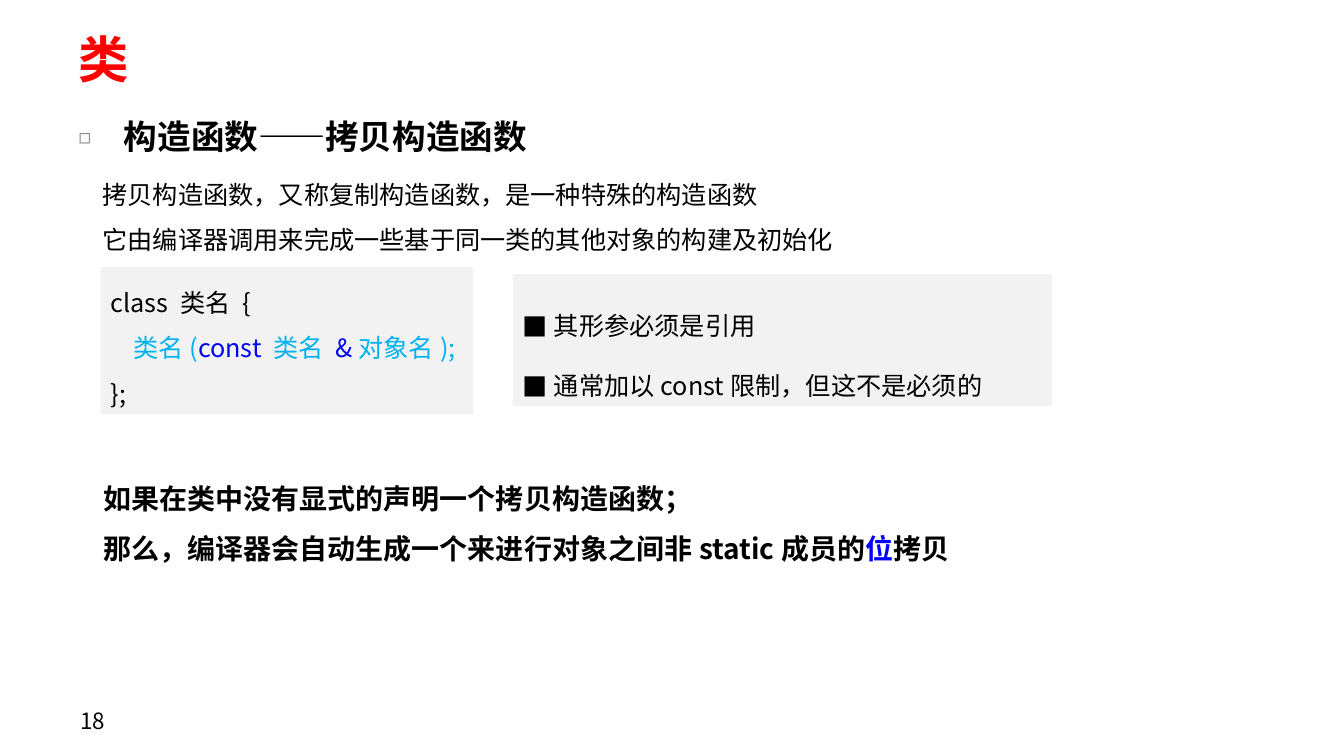
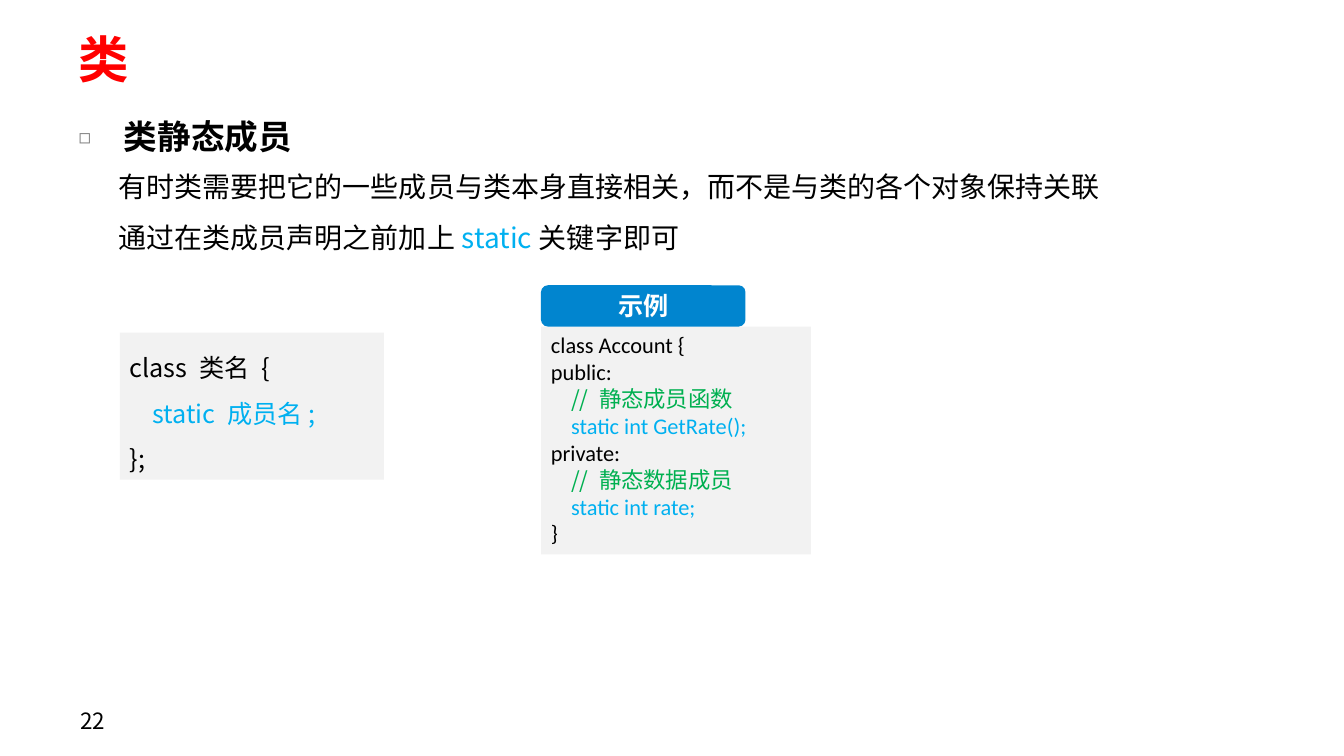
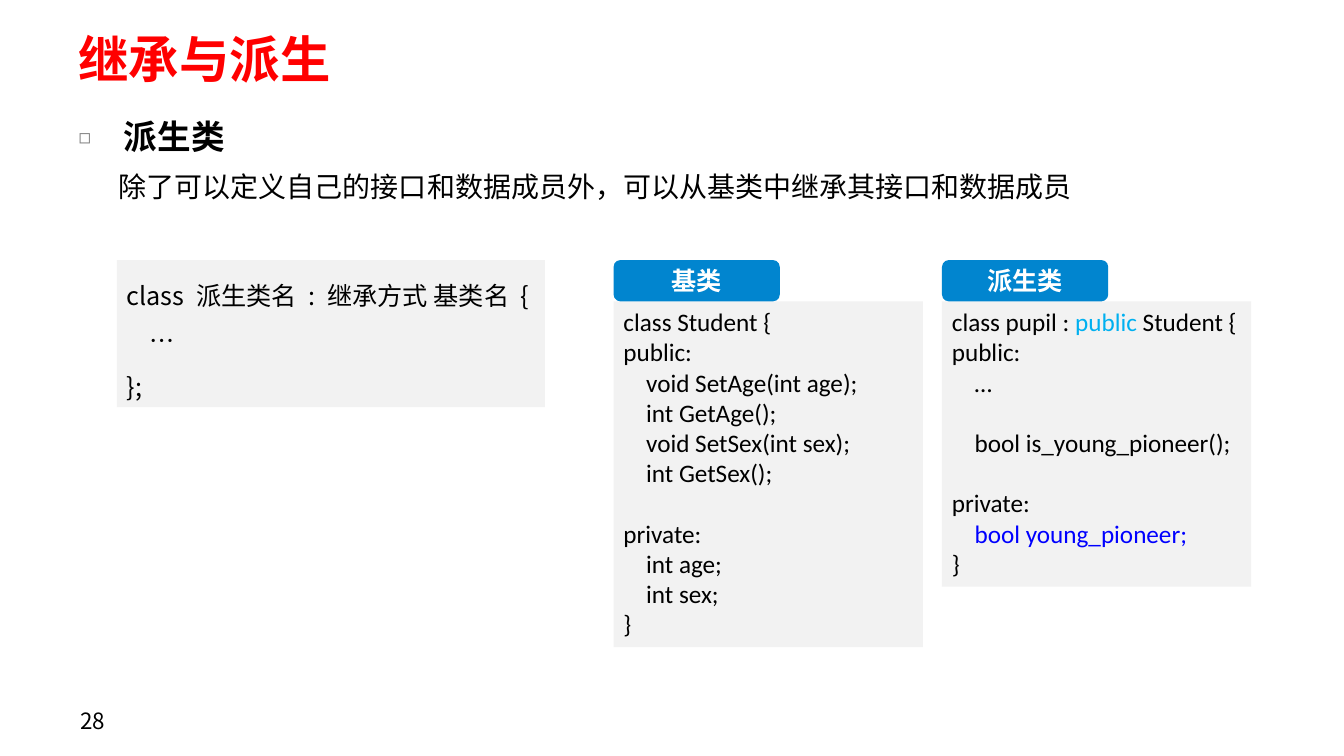
from dataclasses import dataclass
from typing import Optional, Union

from lxml import etree
from pptx import Presentation
from pptx import slide as slides
from pptx import util as u
from pptx.dml.color import RGBColor
from pptx.enum import shapes, text
from pptx.oxml import ns
from pptx.text import text as text_parts

PX = 9144
SANS = "Noto Sans CJK SC"
CODE = "Calibri"

BLACK = RGBColor(0x00, 0x00, 0x00)
WHITE = RGBColor(0xFF, 0xFF, 0xFF)
RED = RGBColor(0xFF, 0x00, 0x00)
GRAY = RGBColor(0x80, 0x80, 0x80)
PANEL = RGBColor(0xF2, 0xF2, 0xF2)
TAB = RGBColor(0x01, 0x85, 0xCF)
CYAN = RGBColor(0x00, 0xB0, 0xF0)
BLUE = RGBColor(0x00, 0x00, 0xFF)
GREEN = RGBColor(0x00, 0xB0, 0x50)

TOP = text.MSO_ANCHOR.TOP
MIDDLE = text.MSO_ANCHOR.MIDDLE
TAB_HEIGHT = 41


@dataclass(frozen=True)
class Box:
    left: int
    top: int
    width: int
    height: int


@dataclass(frozen=True)
class Span:
    text: str
    color: RGBColor
    font: Optional[str] = None


@dataclass(frozen=True)
class Bullet:
    char: str
    indent: int
    color: Optional[RGBColor] = None
    percent: int = 100


@dataclass(frozen=True)
class Card:
    box: Box
    label: str
    tab_width: int
    size: int
    lines: list


Line = Union[str, tuple]

HEADING_BULLET = Bullet("◻", 45, GRAY, 60)
SQUARE_BULLET = Bullet("■", 31)


def px(length: int) -> u.Emu:
    return u.Emu(length * PX)


def add_bullet(paragraph: text_parts._Paragraph, bullet: Bullet) -> None:
    properties = paragraph._p.get_or_add_pPr()
    properties.set("marL", str(px(bullet.indent)))
    properties.set("indent", str(px(-bullet.indent)))
    if bullet.color is not None:
        color = etree.SubElement(properties, ns.qn("a:buClr"))
        etree.SubElement(color, ns.qn("a:srgbClr"), val=str(bullet.color))
    etree.SubElement(properties, ns.qn("a:buSzPct"), val=str(bullet.percent * 1000))
    etree.SubElement(properties, ns.qn("a:buFont"), typeface=SANS)
    etree.SubElement(properties, ns.qn("a:buChar"), char=bullet.char)


def add_run(paragraph: text_parts._Paragraph, span: Span, size: int, font: str, bold: bool) -> None:
    run = paragraph.add_run()
    run.text = span.text
    run.font.size = u.Pt(size)
    run.font.bold = bold
    run.font.color.rgb = span.color
    run.font.name = span.font or font
    east_asian = etree.Element(ns.qn("a:ea"), typeface=SANS)
    run.font._element.find(ns.qn("a:latin")).addnext(east_asian)


def add_text(
    slide: slides.Slide,
    box: Box,
    lines: list,
    *,
    size: int,
    font: str = SANS,
    color: RGBColor = BLACK,
    bold: bool = False,
    spacing: float = 1.0,
    fill: Optional[RGBColor] = None,
    outline: shapes.MSO_SHAPE = shapes.MSO_SHAPE.RECTANGLE,
    bullet: Optional[Bullet] = None,
    anchor: text.MSO_ANCHOR = TOP,
    align: text.PP_ALIGN = text.PP_ALIGN.LEFT,
    inset: tuple = (10, 5),
    grow: bool = True,
) -> None:
    place = [px(length) for length in (box.left, box.top, box.width, box.height)]
    if fill is None:
        shape = slide.shapes.add_textbox(*place)
    else:
        shape = slide.shapes.add_shape(outline, *place)
        shape.shadow.inherit = False
        shape.fill.solid()
        shape.fill.fore_color.rgb = fill
        shape.line.fill.background()
    frame = shape.text_frame
    frame.word_wrap = True
    frame.auto_size = text.MSO_AUTO_SIZE.SHAPE_TO_FIT_TEXT if grow else text.MSO_AUTO_SIZE.NONE
    frame.vertical_anchor = anchor
    frame.margin_left = frame.margin_right = px(inset[0])
    frame.margin_top = frame.margin_bottom = px(inset[1])
    for index, line in enumerate(lines):
        paragraph = frame.add_paragraph() if index else frame.paragraphs[0]
        if bullet is not None:
            add_bullet(paragraph, bullet)
        paragraph.alignment = align
        paragraph.line_spacing = spacing
        for part in line if isinstance(line, tuple) else (line,):
            span = part if isinstance(part, Span) else Span(part, color)
            if span.text.startswith("\n"):
                paragraph.add_line_break()
                span = Span(span.text[1:], span.color, span.font)
            add_run(paragraph, span, size, font, bold)


def add_base(presentation: Presentation, title: str, heading: str, number: int) -> slides.Slide:
    slide = presentation.slides.add_slide(presentation.slide_layouts[6])
    inset = (13, 7)
    add_text(slide, Box(65, 28, 1213, 59), [title], size=36, color=RED, bold=True,
             anchor=MIDDLE, inset=inset, grow=False)
    add_text(slide, Box(65, 92, 1213, 71), [heading], size=24, bold=True, spacing=1.4,
             bullet=HEADING_BULLET, inset=inset, grow=False)
    add_text(slide, Box(67, 695, 311, 40), [str(number)], size=16,
             anchor=MIDDLE, inset=inset, grow=False)
    return slide


def add_syntax(slide: slides.Slide, box: Box, lines: list) -> None:
    add_text(slide, box, lines, size=18, spacing=1.5, fill=PANEL)


def add_card(slide: slides.Slide, card: Card) -> None:
    box = card.box
    add_text(slide, box, card.lines, size=card.size, font=CODE, fill=PANEL)
    tab = Box(box.left, box.top - TAB_HEIGHT, card.tab_width, TAB_HEIGHT)
    add_text(slide, tab, [card.label], size=18, color=WHITE, bold=True, fill=TAB,
             outline=shapes.MSO_SHAPE.ROUNDED_RECTANGLE, anchor=MIDDLE,
             align=text.PP_ALIGN.CENTER, inset=(6, 3))


def build_copy_constructor(presentation: Presentation) -> None:
    slide = add_base(presentation, "类", "构造函数——拷贝构造函数", 18)
    add_text(slide, Box(92, 158, 1236, 101), [
        "拷贝构造函数，又称复制构造函数，是一种特殊的构造函数",
        "它由编译器调用来完成一些基于同一类的其他对象的构建及初始化",
    ], size=18, spacing=1.5)
    add_syntax(slide, Box(100, 265, 370, 146), [
        "class 类名 {",
        ("    ", Span("类名(", CYAN), Span("const ", BLUE), Span("类名 ", CYAN),
         Span("&", BLUE), Span("对象名);", CYAN)),
        "};",
    ])
    add_text(slide, Box(509, 272, 535, 131), [
        "其形参必须是引用",
        "通常加以const限制，但这不是必须的",
    ], size=18, spacing=2.0, fill=PANEL, bullet=SQUARE_BULLET, anchor=MIDDLE)
    add_text(slide, Box(93, 456, 1146, 105), [
        "如果在类中没有显式的声明一个拷贝构造函数；",
        ("那么，编译器会自动生成一个来进行对象之间非static成员的", Span("位", BLUE), "拷贝"),
    ], size=20, bold=True, spacing=1.5)


def build_static_members(presentation: Presentation) -> None:
    slide = add_base(presentation, "类", "类静态成员", 22)
    add_text(slide, Box(108, 147, 1134, 111), [
        "有时类需要把它的一些成员与类本身直接相关，而不是与类的各个对象保持关联",
        ("通过在类成员声明之前加上", Span("static", CYAN), "关键字即可"),
    ], size=20, spacing=1.5)
    add_card(slide, Card(Box(537, 324, 268, 226), "示例", 203, 16, [
        "class Account {",
        "public:",
        ("    ", Span("// 静态成员函数", GREEN, SANS)),
        ("    ", Span("static int GetRate();", CYAN)),
        "private:",
        ("    ", Span("// 静态数据成员", GREEN, SANS)),
        ("    ", Span("static int rate;", CYAN)),
        "}",
    ]))
    add_syntax(slide, Box(119, 330, 262, 146), [
        "class 类名 {",
        ("    ", Span("static 成员名;", CYAN)),
        "};",
    ])


def build_derived_class(presentation: Presentation) -> None:
    slide = add_base(presentation, "继承与派生", "派生类", 28)
    add_text(slide, Box(108, 147, 1134, 61), [
        "除了可以定义自己的接口和数据成员外，可以从基类中继承其接口和数据成员",
    ], size=20, spacing=1.5)
    add_syntax(slide, Box(116, 258, 425, 146), [
        "class 派生类名 : 继承方式 基类名 {",
        "    …",
        "};",
    ])
    cards = [
        Card(Box(609, 299, 307, 343), "基类", 165, 18, [
            "class Student {",
            "public:",
            "    void SetAge(int age);",
            "    int GetAge();",
            "    void SetSex(int sex);",
            "    int GetSex();",
            "\nprivate:",
            "    int age;",
            "    int sex;",
            "}",
        ]),
        Card(Box(935, 299, 307, 283), "派生类", 165, 18, [
            ("class pupil : ", Span("public", CYAN), " Student {"),
            "public:",
            "    …",
            "\n    bool is_young_pioneer();",
            "\nprivate:",
            ("    ", Span("bool young_pioneer;", BLUE)),
            "}",
        ]),
    ]
    for card in cards:
        add_card(slide, card)


def main() -> None:
    presentation = Presentation()
    presentation.slide_width = px(1334)
    presentation.slide_height = px(750)
    build_copy_constructor(presentation)
    build_static_members(presentation)
    build_derived_class(presentation)
    presentation.save("out.pptx")


if __name__ == "__main__":
    main()
